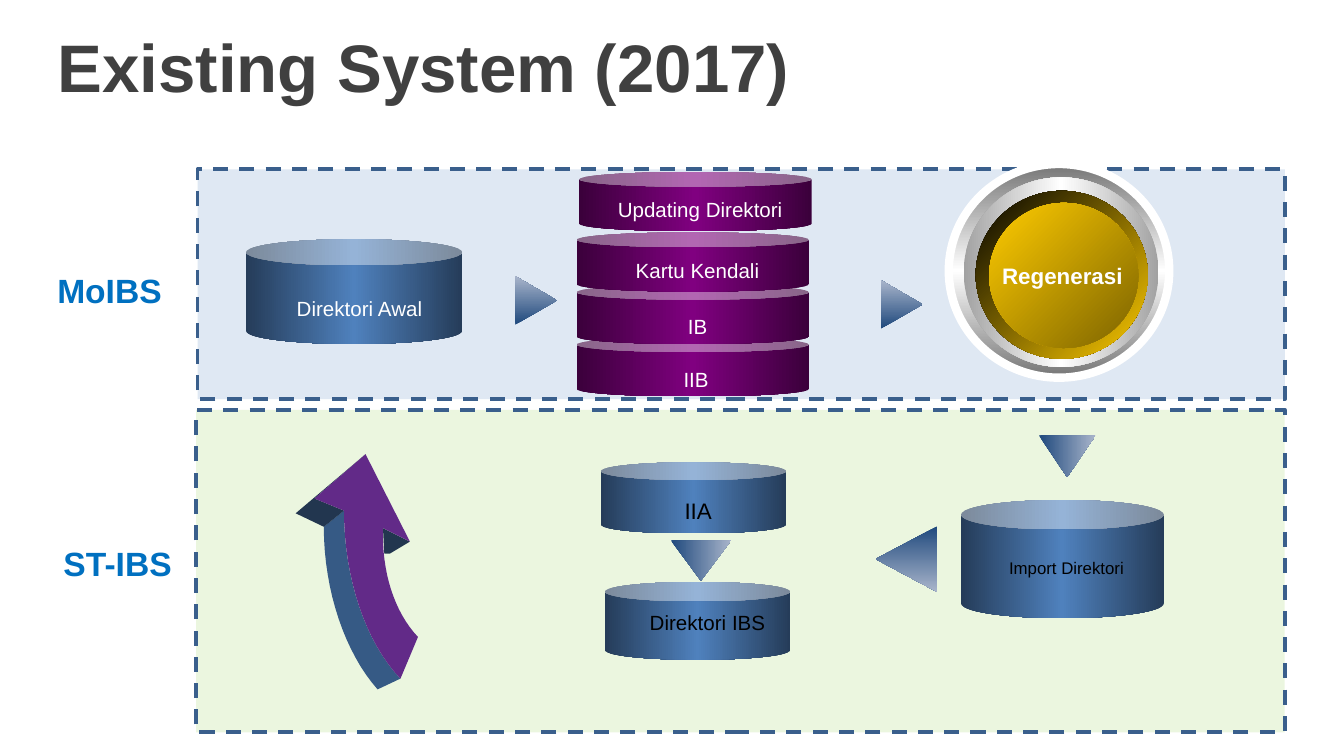
from copy import deepcopy
from dataclasses import dataclass

from lxml import etree
from pptx import Presentation
from pptx.dml.color import RGBColor
from pptx.enum.dml import MSO_LINE
from pptx.enum.shapes import MSO_SHAPE
from pptx.enum.text import MSO_ANCHOR, PP_ALIGN
from pptx.oxml.ns import qn
from pptx.util import Inches, Pt

RECTANGLE, CAN = MSO_SHAPE.RECTANGLE, MSO_SHAPE.CAN
OVAL, UP_ARROW = MSO_SHAPE.OVAL, MSO_SHAPE.UP_ARROW
DASH = MSO_LINE.DASH
MIDDLE, TOP = MSO_ANCHOR.MIDDLE, MSO_ANCHOR.TOP
LEFT, CENTER = PP_ALIGN.LEFT, PP_ALIGN.CENTER

Box = tuple[float, float, float, float]
Point = tuple[float, float]
Colors = tuple[str, ...]


@dataclass(frozen=True)
class Theme:
    font: str = "Arial"
    title: str = "404040"
    row_name: str = "0070C0"
    white: str = "FFFFFF"
    black: str = "000000"
    panel_line: str = "3A5F8C"
    monthly_panel: str = "4F81BD"
    yearly_panel: str = "92D050"
    purple_can: Colors = ("3B003B", "800080", "3B003B")
    blue_can: Colors = ("253C59", "4F81BD", "253C59")
    flow: Colors = ("1F497D", "A9B5CB")
    return_face: str = "622A88"
    return_side: str = "365A85"
    return_shade: str = "22364F"
    title_size: float = 36
    row_size: float = 18
    large_size: float = 12
    label_size: float = 11
    small_size: float = 9


THEME = Theme()


@dataclass(frozen=True)
class Label:
    text: str
    box: Box
    size: float = THEME.label_size
    color: str = THEME.white
    bold: bool = False
    wrap: bool = True
    align: PP_ALIGN = CENTER
    anchor: MSO_ANCHOR = TOP
    inset: float = 0.1


@dataclass(frozen=True)
class Flow:
    box: Box
    rotation: int


@dataclass(frozen=True)
class Ring:
    box: Box
    colors: Colors
    angle: int
    border: float = 0


PANELS = [
    ((1.46, 3.05, 8.1, 2.4), THEME.yearly_panel),
    ((1.47, 1.26, 8.09, 1.71), THEME.monthly_panel),
]
FLOWS = [
    Flow((3.81, 2.08, 0.36, 0.31), 90),
    Flow((6.53, 2.11, 0.36, 0.31), 90),
    Flow((7.73, 3.24, 0.42, 0.31), 180),
    Flow((4.99, 4.02, 0.45, 0.3), 180),
    Flow((6.5, 3.93, 0.49, 0.46), 270),
]
STACKED_CANS = [(4.29, 2.51 - 0.39 * step, 1.73, 0.44) for step in range(3)]
PURPLE_CANS = STACKED_CANS + [(4.31, 1.28, 1.73, 0.44)]
BLUE_CANS = [
    (4.47, 3.44, 1.38, 0.53),
    (7.15, 3.72, 1.51, 0.88),
    (4.5, 4.33, 1.38, 0.58),
    (1.83, 1.78, 1.61, 0.78),
]
RINGS = [
    Ring((7.06, 1.22, 1.64, 1.59), ("767676", "FFFFFF", "767676"), 90, 4.5),
    Ring((7.17, 1.32, 1.45, 1.41), ("A2A2A2", "FFFFFF", "A2A2A2"), 0),
    Ring((7.26, 1.42, 1.28, 1.25), ("000000", "FFCC00"), 45),
    Ring((7.36, 1.51, 1.11, 1.08), ("FFCC00", "7C6300"), 45),
]
LABELS = [
    Label("Existing System (2017)", (0.2, 0, 9.8, 0.97), THEME.title_size,
          THEME.title, bold=True, align=LEFT, anchor=MIDDLE, inset=0.23),
    Label("MoIBS", (0.22, 1.96, 1.19, 0.4), THEME.row_size, THEME.row_name, bold=True),
    Label("ST-IBS", (0.3, 3.99, 1.15, 0.4), THEME.row_size, THEME.row_name, bold=True),
    Label("Direktori Awal", (2.1, 2.15, 1.15, 0.29)),
    Label("Updating Direktori", (4.47, 1.42, 1.48, 0.29)),
    Label("Kartu Kendali", (4.45, 1.87, 1.48, 0.29)),
    Label("IB", (5, 2.29, 0.38, 0.29)),
    Label("IIB", (4.96, 2.68, 0.44, 0.29)),
    Label("Regenerasi", (7.35, 1.9, 1.11, 0.3), THEME.large_size, bold=True, wrap=False),
    Label("IIA", (4.99, 3.65, 0.41, 0.3), THEME.large_size, THEME.black, wrap=False),
    Label("Import Direktori", (7.4, 4.1, 1.07, 0.25), THEME.small_size, THEME.black),
    Label("Direktori IBS", (4.68, 4.49, 1.17, 0.29), color=THEME.black),
]


def curve(start: Point, first: Point, second: Point, end: Point) -> list[Point]:
    steps = 16
    points = []
    for step in range(steps + 1):
        t = step / steps
        weights = ((1 - t) ** 3, 3 * t * (1 - t) ** 2, 3 * t * t * (1 - t), t ** 3)
        corners = (start, first, second, end)
        points.append(tuple(sum(w * c[axis] for w, c in zip(weights, corners))
                            for axis in (0, 1)))
    return points


def add_shape(slide, kind: MSO_SHAPE, box: Box):
    shape = slide.shapes.add_shape(kind, *map(Inches, box))
    shape.shadow.inherit = False
    shape.line.fill.background()
    return shape


def fill_solid(shape, color: str) -> None:
    shape.fill.solid()
    shape.fill.fore_color.rgb = RGBColor.from_string(color)


def fill_gradient(shape, colors: Colors, angle: int = 0) -> None:
    shape.fill.gradient()
    shape.fill.gradient_angle = -angle % 360
    stops = shape.element.spPr.find(qn("a:gradFill")).find(qn("a:gsLst"))
    if len(colors) == 3:
        stops.insert(1, deepcopy(stops[0]))
    for index, (stop, color) in enumerate(zip(shape.fill.gradient_stops, colors)):
        stop.position = index / (len(colors) - 1)
        stop.color.rgb = RGBColor.from_string(color)


def add_panel(slide, box: Box, color: str) -> None:
    panel = add_shape(slide, RECTANGLE, box)
    fill_solid(panel, color)
    solid_color = panel.element.spPr.find(qn("a:solidFill"))[0]
    etree.SubElement(solid_color, qn("a:alpha")).set("val", "18000")
    panel.line.color.rgb = RGBColor.from_string(THEME.panel_line)
    panel.line.width = Pt(2)
    panel.line.dash_style = DASH


def add_can(slide, box: Box, colors: Colors) -> None:
    can = add_shape(slide, CAN, box)
    can.adjustments[0] = 0.25
    fill_gradient(can, colors)


def add_flow(slide, flow: Flow) -> None:
    arrow = add_shape(slide, UP_ARROW, flow.box)
    arrow.adjustments[0], arrow.adjustments[1] = 0.52, 1
    arrow.rotation = flow.rotation
    arrow.element.spPr.find(qn("a:xfrm")).set("flipH", "1")
    fill_gradient(arrow, THEME.flow)


def add_ring(slide, ring: Ring) -> None:
    oval = add_shape(slide, OVAL, ring.box)
    fill_gradient(oval, ring.colors, ring.angle)
    if ring.border:
        oval.line.color.rgb = RGBColor.from_string(THEME.white)
        oval.line.width = Pt(ring.border)


def add_outline(slide, points: list[Point], color: str) -> None:
    corners = [(Inches(x), Inches(y)) for x, y in points]
    builder = slide.shapes.build_freeform(*corners[0])
    builder.add_line_segments(corners[1:])
    outline = builder.convert_to_shape()
    outline.shadow.inherit = False
    outline.line.fill.background()
    fill_solid(outline, color)


def add_return_arrow(slide) -> None:
    outer = curve((2.98, 5.05), (2.72, 4.78), (2.56, 4.3), (2.56, 3.8))
    inner = curve((2.85, 3.93), (2.84, 4.25), (2.93, 4.55), (3.11, 4.74))
    back = curve((2.41, 3.92), (2.41, 4.4), (2.57, 4.86), (2.81, 5.13))
    head = [(2.34, 3.71), (2.72, 3.38), (3.05, 4.03)]
    add_outline(slide, back + outer, THEME.return_side)
    add_outline(slide, [head[1], (2.2, 3.82), back[0], outer[-1], head[0]], THEME.return_shade)
    add_outline(slide, [inner[0], (2.86, 4.12), (2.9, 4.12), head[2]], THEME.return_shade)
    add_outline(slide, outer + head + inner, THEME.return_face)


def add_label(slide, label: Label) -> None:
    frame = slide.shapes.add_textbox(*map(Inches, label.box)).text_frame
    frame.word_wrap = label.wrap
    frame.vertical_anchor = label.anchor
    frame.margin_left = Inches(label.inset)
    paragraph = frame.paragraphs[0]
    paragraph.alignment = label.align
    run = paragraph.add_run()
    run.text = label.text
    run.font.name, run.font.size, run.font.bold = THEME.font, Pt(label.size), label.bold
    run.font.color.rgb = RGBColor.from_string(label.color)


def main() -> None:
    presentation = Presentation()
    presentation.slide_width = Inches(10)
    presentation.slide_height = Inches(10 * 9 / 16)
    slide = presentation.slides.add_slide(presentation.slide_layouts[6])
    for box, color in PANELS:
        add_panel(slide, box, color)
    for flow in FLOWS:
        add_flow(slide, flow)
    for boxes, colors in ((PURPLE_CANS, THEME.purple_can), (BLUE_CANS, THEME.blue_can)):
        for box in boxes:
            add_can(slide, box, colors)
    for ring in RINGS:
        add_ring(slide, ring)
    add_return_arrow(slide)
    for label in LABELS:
        add_label(slide, label)
    presentation.save("out.pptx")


if __name__ == "__main__":
    main()
